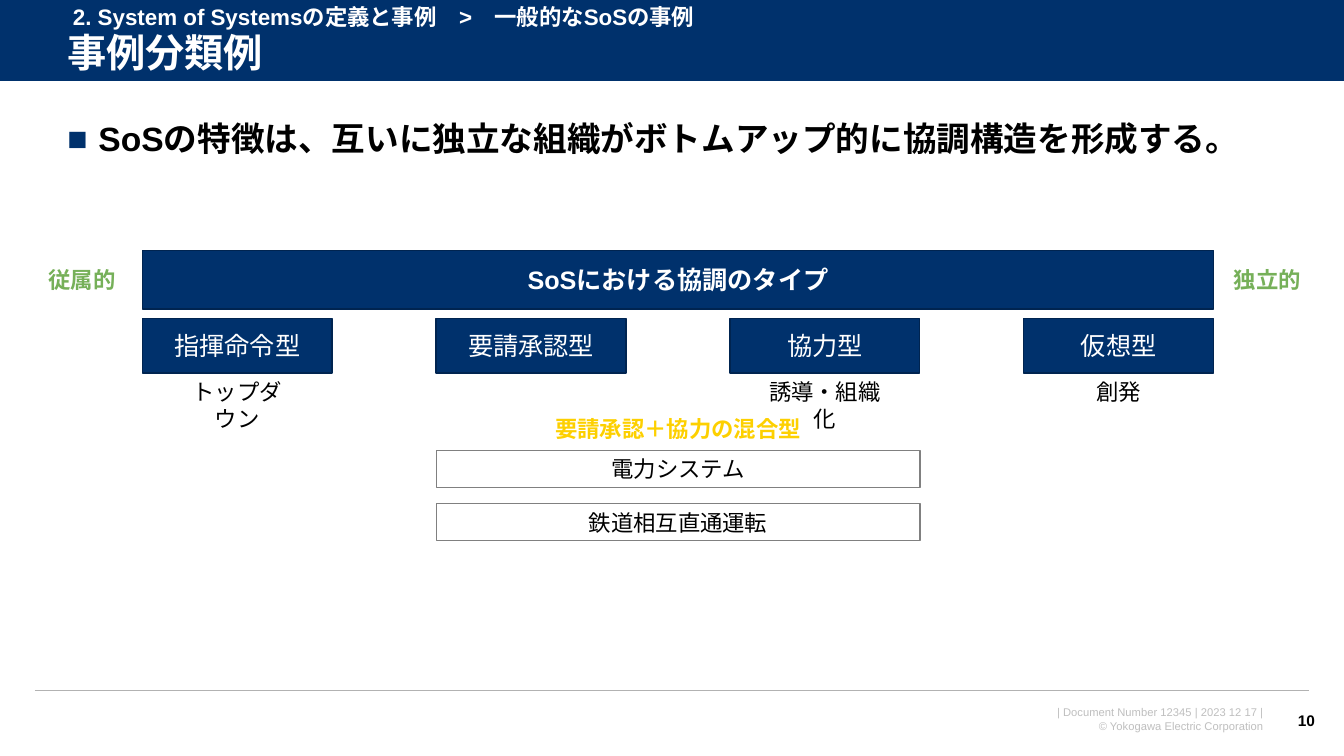
from lxml.etree import SubElement
from pptx import Presentation
from pptx.dml.color import RGBColor
from pptx.enum.lang import MSO_LANGUAGE_ID as Lang
from pptx.enum.shapes import MSO_CONNECTOR as Connector, MSO_SHAPE as Shape
from pptx.enum.text import MSO_ANCHOR as Anchor, PP_ALIGN as Align
from pptx.oxml.ns import qn
from pptx.util import Pt

NAVY = RGBColor(0x00, 0x31, 0x6C)
DARK_NAVY = RGBColor(0x00, 0x24, 0x50)
WHITE = RGBColor(0xFF, 0xFF, 0xFF)
BLACK = RGBColor(0x00, 0x00, 0x00)
GREEN = RGBColor(0x76, 0xB0, 0x59)
YELLOW = RGBColor(0xFD, 0xD0, 0x00)
GRAY = RGBColor(0x80, 0x80, 0x80)
RULE_GRAY = RGBColor(0xB2, 0xB2, 0xB2)
FOOTER_GRAY = RGBColor(0xBF, 0xBF, 0xBF)

PAGE_WIDTH, PAGE_HEIGHT = 960, 540
LABEL_HEIGHT = 26.6
COOPERATION_TYPES = [
    ("指揮命令型", "トップダウン", 84.2),
    ("要請承認型", None, 0),
    ("協力型", "誘導・組織化", 109.4),
    ("仮想型", "創発", 84.2),
]
MIXED_EXAMPLES = ["電力システム", "鉄道相互直通運転"]


def write(shape, lines, size, color, bold=False, align=Align.CENTER, anchor=Anchor.TOP, wrap=True):
    frame = shape.text_frame
    frame.word_wrap = wrap
    frame.vertical_anchor = anchor
    for number, line in enumerate(lines):
        para = frame.add_paragraph() if number else frame.paragraphs[0]
        para.alignment = align
        span = para.add_run()
        span.text = line
        look = {"name": "Arial", "size": Pt(size), "bold": bold, "language_id": Lang.JAPANESE}
        for name, value in look.items():
            setattr(span.font, name, value)
        span.font.color.rgb = color
        span.font._element.find(qn("a:latin")).addnext(
            SubElement(span.font._element, qn("a:ea"), typeface="Arial"))
    return frame.paragraphs[0]


def add_label(page, box, lines, size, color, **look):
    label = page.shapes.add_textbox(*map(Pt, box))
    return write(label, lines, size, color, **look)


def add_box(page, box, fill=None, line=None, line_width=1):
    shape = page.shapes.add_shape(Shape.RECTANGLE, *map(Pt, box))
    shape.shadow.inherit = False
    if fill is None:
        shape.fill.background()
    else:
        shape.fill.solid()
        shape.fill.fore_color.rgb = fill
    if line is None:
        shape.line.fill.background()
    else:
        shape.line.color.rgb = line
        shape.line.width = Pt(line_width)
    return shape


def add_rule(page, left, right, y, color, width):
    rule = page.shapes.add_connector(Connector.STRAIGHT, Pt(left), Pt(y), Pt(right), Pt(y))
    rule.line.color.rgb = color
    rule.line.width = Pt(width)
    SubElement(rule._element.spPr, qn("a:effectLst"))


def add_header(page, box):
    left, top, width, height = box
    add_box(page, box, fill=NAVY)
    add_rule(page, left, left + width, top + height, WHITE, 0.75)
    title = add_label(page, (left + 41, top + 18.7, 898, 41), ["事例分類例"], 28, WHITE,
                      bold=True, align=Align.LEFT, anchor=Anchor.MIDDLE)
    title.line_spacing = 0.9
    add_label(page, (left + 45, top - 1.4, 538, LABEL_HEIGHT),
              ["2. System of Systemsの定義と事例　>　一般的なSoSの事例"], 16, WHITE,
              bold=True, align=Align.LEFT)


def add_key_message(page, box):
    shape = page.shapes.add_textbox(*map(Pt, box))
    para = write(shape, ["SoSの特徴は、互いに独立な組織がボトムアップ的に協調構造を形成する。"],
                 24, BLACK, bold=True, align=Align.LEFT)
    para.line_spacing = 0.9
    props = para._p.get_or_add_pPr()
    indent = Pt(22.3)
    props.set("marL", str(indent))
    props.set("indent", str(-indent))
    bullet_color = SubElement(props, qn("a:buClr"))
    SubElement(bullet_color, qn("a:srgbClr"), val=str(NAVY))
    SubElement(props, qn("a:buFont"), typeface="Arial")
    SubElement(props, qn("a:buChar"), char="■")


def add_type_scale(page, box):
    """Draw the bar of cooperation types between its two poles, and the types below it."""
    left, top, width, bar_height = box
    bar = add_box(page, (left, top, width, bar_height), NAVY, DARK_NAVY)
    write(bar, ["SoSにおける協調のタイプ"], 18, WHITE, bold=True, anchor=Anchor.MIDDLE)

    pole_width, pole_gap = 70, 8
    poles = {"従属的": left - pole_gap - pole_width, "独立的": left + width + 3.4}
    for text, pole_left in poles.items():
        add_label(page, (pole_left, top + 7.6, pole_width, LABEL_HEIGHT), [text], 16, GREEN, bold=True)

    type_width, type_height = 135.6, 38.9
    pitch = (width - type_width) / (len(COOPERATION_TYPES) - 1)
    type_top = top + bar_height + 6.9
    for column, (name, trait, trait_width) in enumerate(COOPERATION_TYPES):
        type_left = left + column * pitch
        type_box = add_box(page, (type_left, type_top, type_width, type_height), NAVY, DARK_NAVY)
        write(type_box, [name], 18, WHITE, anchor=Anchor.MIDDLE)
        if trait:
            trait_left = type_left + (type_width - trait_width) / 2
            add_label(page, (trait_left, type_top + type_height, trait_width, LABEL_HEIGHT),
                      [trait], 16, BLACK)


def add_mixed_type(page, box):
    left, top, width, pitch = box
    add_label(page, (left, top, width, LABEL_HEIGHT), ["要請承認＋協力の混合型"], 16, YELLOW, bold=True)
    for row, example in enumerate(MIXED_EXAMPLES):
        example_top = top + 28.8 + row * pitch
        example_box = add_box(page, (left, example_top, width, LABEL_HEIGHT), line=GRAY, line_width=0.75)
        write(example_box, [example], 16, BLACK)


def add_footer(page, box):
    left, top, width, height = box
    right = left + width
    add_rule(page, left, right, top, RULE_GRAY, 1)
    notice = add_label(page, (right - 252, top + 7.2, 231, LABEL_HEIGHT),
                       ["| Document Number 12345 | 2023 12 17 |", "© Yokogawa Electric Corporation"],
                       8, FOOTER_GRAY, align=Align.RIGHT)
    notice._p.get_or_add_pPr().set("marR", str(Pt(4.4)))
    add_label(page, (right - 20.2, top + 7.2, 31.7, height), ["10"], 11, BLACK,
              bold=True, align=Align.RIGHT, anchor=Anchor.MIDDLE, wrap=False)


def main():
    deck = Presentation()
    deck.slide_width, deck.slide_height = Pt(PAGE_WIDTH), Pt(PAGE_HEIGHT)
    page = deck.slides.add_slide(deck.slide_layouts[6])
    add_header(page, (0, 0, PAGE_WIDTH, 58))
    add_key_message(page, (41, 84.2, 914, 41))
    add_type_scale(page, (101.7, 178.9, 765.2, 41.8))
    add_mixed_type(page, (311.6, 293, 345.6, 38))
    add_footer(page, (25, 493.2, 910, 28.8))
    deck.save("out.pptx")


if __name__ == "__main__":
    main()
